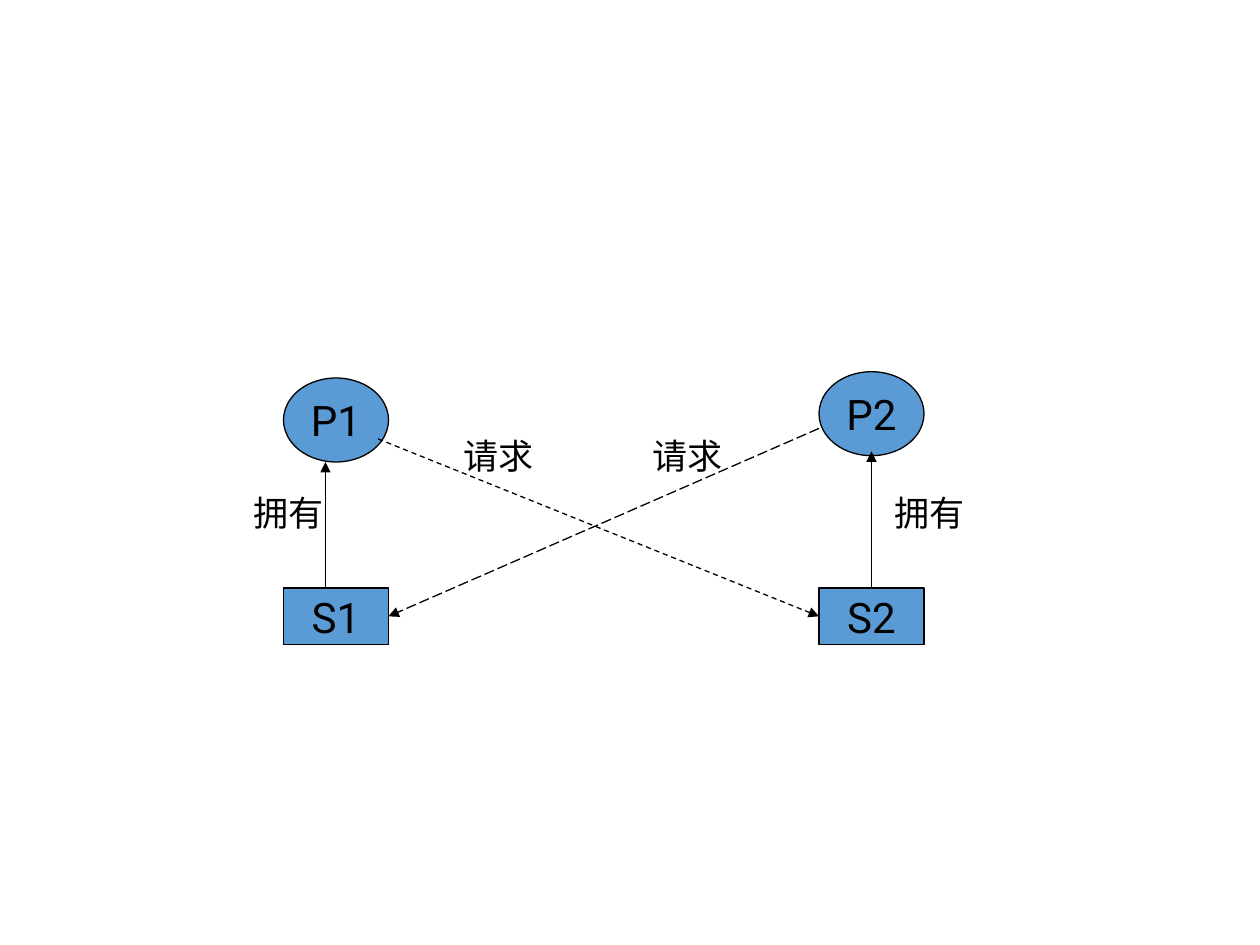
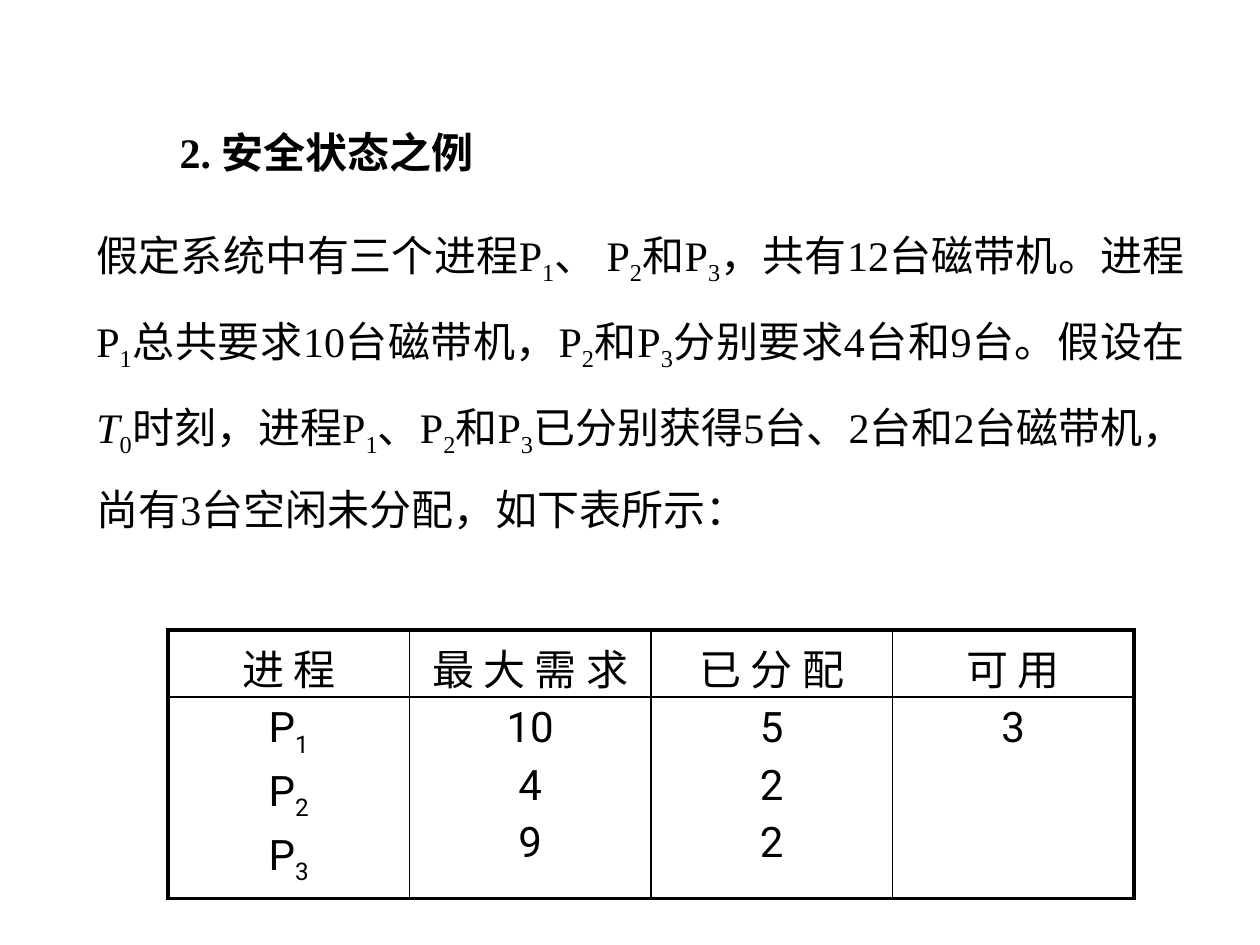
from lxml import etree
from pptx import Presentation
from pptx import util as u
from pptx.dml.color import RGBColor
from pptx.enum import dml, shapes, text
from pptx.oxml.ns import qn

BLACK = RGBColor(0x00, 0x00, 0x00)
BLUE = RGBColor(0x5B, 0x9B, 0xD5)
SANS, SERIF = "Roboto", "Times New Roman"
COLUMNS, ROWS = 120, 90  # grid laid over each slide
WIDTH, HEIGHT = u.Inches(10), u.Inches(7.5)
LABEL = dict(name=SANS, size=u.Pt(20))
NODE = dict(name=SANS, size=u.Pt(24))
BODY = dict(name=SERIF, size=u.Pt(24), bold=False)
HEADING = dict(BODY, bold=True)
PROSE = dict(alignment=text.PP_ALIGN.JUSTIFY, line_spacing=1.5)
CENTRED = dict(alignment=text.PP_ALIGN.CENTER)

STATEMENT = (
    "假定系统中有三个进程P_1、 P_2和P_3，共有12台磁带机。"
    "进程P_1总共要求10台磁带机，P_2和P_3分别要求4台和9台。"
    "假设在*T*_0时刻，进程P_1、P_2和P_3已分别获得5台、2台和2台磁带机，"
    "尚有3台空闲未分配，如下表所示：")
ALLOCATION = [
    [["进 程"], ["最 大 需 求"], ["已 分 配"], ["可 用"]],
    [["P_1", "P_2", "P_3"], ["10", "4", "9"], ["5", "2", "2"], ["3"]],
]


def place(column, row, columns=0, rows=0):
    """Turn grid columns and rows into lengths."""
    return (int(WIDTH * column / COLUMNS), int(HEIGHT * row / ROWS),
            int(WIDTH * columns / COLUMNS), int(HEIGHT * rows / ROWS))


def apply(target, values):
    for key, value in values.items():
        setattr(target, key, value)


def write(para, words, font, layout):
    """Fill a paragraph; _x is a subscript and *x* is italic."""
    apply(para, layout)

    def add_span(content, subscript=False, italic=False):
        if content:
            span = para.add_run()
            span.text = content
            apply(span.font, font)
            span.font.color.rgb = BLACK
            if italic:
                span.font.italic = True
            if subscript:
                span._r.get_or_add_rPr().set("baseline", "-25000")

    for number, part in enumerate(words.split("*")):
        first, *others = part.split("_")
        add_span(first, italic=number % 2 == 1)
        for chunk in others:
            add_span(chunk[0], subscript=True)
            add_span(chunk[1:])


def add_text(page, box, words, font, layout):
    area = page.shapes.add_textbox(*place(*box))
    area.text_frame.word_wrap = True
    write(area.text_frame.paragraphs[0], words, font, layout)


def add_node(page, kind, box, name):
    node = page.shapes.add_shape(kind, *place(*box))
    node.shadow.inherit = False
    node.fill.solid()
    node.fill.fore_color.rgb = BLUE
    node.line.color.rgb = BLACK
    node.line.width = u.Pt(0.75)
    apply(node.text_frame, dict(word_wrap=False,
                                vertical_anchor=text.MSO_ANCHOR.MIDDLE))
    write(node.text_frame.paragraphs[0], name, NODE, CENTRED)
    return node


def add_arrow(page, start, end, dash=None):
    arrow = page.shapes.add_connector(
        shapes.MSO_CONNECTOR.STRAIGHT, *place(*start)[:2], *place(*end)[:2])
    arrow.line.color.rgb = BLACK
    arrow.line.width = u.Pt(0.75)
    if dash:
        arrow.line.dash_style = dash
    etree.SubElement(arrow.line._get_or_add_ln(), qn("a:tailEnd"), type="triangle")
    etree.SubElement(arrow._element.spPr, qn("a:effectLst"))
    return arrow


def build_deadlock(page, left, top):
    """Two processes, each holding one resource and requesting the other."""
    right = left + 51
    oval, rect = shapes.MSO_SHAPE.OVAL, shapes.MSO_SHAPE.RECTANGLE

    # Processes and resources
    add_node(page, oval, (left, top + 0.6, 10, 8), "P1")
    add_node(page, oval, (right, top, 10, 8), "P2")
    s1, s2 = [add_node(page, rect, (x, top + 20.6, 10, 5.4), name)
              for x, name in ((left, "S1"), (right, "S2"))]

    # Held resources
    add_arrow(page, (left + 4, top + 20.6), (left + 4, top + 8.6))
    held = add_arrow(page, (right + 5, top + 20.6), (right + 5, top + 7.6))
    held.begin_connect(s2, 0)

    # Requests
    request = add_arrow(page, (left + 9, top + 6.4), (right, top + 23.3),
                        dml.MSO_LINE.DASH)
    request.end_connect(s2, 1)
    request = add_arrow(page, (right, top + 5.4), (left + 10, top + 23.3),
                        dml.MSO_LINE.LONG_DASH)
    request.end_connect(s1, 3)

    # Labels
    for column, row, columns, words in (
            (right + 6, 10.8, 11, "拥有"), (left - 4, 10.8, 10, "拥有"),
            (left + 34, 5.4, 13, "请求"), (left + 16, 5.4, 13, "请求")):
        add_text(page, (column, top + row, columns, 5.2), words, LABEL, {})


def set_borders(cell, **widths):
    properties = cell._tc.get_or_add_tcPr()
    for index, side in enumerate("LRTB"):
        line = etree.Element(qn(f"a:ln{side}"), w=str(u.Pt(widths[side])))
        fill = etree.SubElement(line, qn("a:solidFill"))
        etree.SubElement(fill, qn("a:srgbClr"), val=str(BLACK))
        properties.insert(index, line)


def build_allocation_table(page, box, heights):
    rows, columns = len(ALLOCATION), len(ALLOCATION[0])
    table = page.shapes.add_table(rows, columns, *place(*box)).table
    apply(table, dict(first_row=False, horz_banding=False))
    for row, height in zip(table.rows, heights):
        row.height = place(0, 0, 0, height)[3]
    for r, entries in enumerate(ALLOCATION):
        for c, lines in enumerate(entries):
            cell = table.cell(r, c)
            cell.fill.background()
            # Heavy frame, thin inner lines
            set_borders(cell, L=1 if c else 2.25, T=1 if r else 2.25,
                        R=1 if c < columns - 1 else 2.25,
                        B=1 if r < rows - 1 else 2.25)
            frame = cell.text_frame
            for number, words in enumerate(lines):
                para = frame.add_paragraph() if number else frame.paragraphs[0]
                gap = u.Pt(4.8 if number else 0)
                write(para, words, NODE, dict(CENTRED, space_before=gap))


def build_safe_state(page, left, top):
    # Heading
    title = page.shapes.title
    apply(title, dict(zip(("left", "top", "width", "height"),
                          place(left, top, 106, 9.5))))
    apply(title.text_frame, dict(vertical_anchor=text.MSO_ANCHOR.TOP,
                                 auto_size=text.MSO_AUTO_SIZE.NONE,
                                 margin_left=u.Inches(0.76)))
    write(title.text_frame.paragraphs[0], "2. 安全状态之例", HEADING, PROSE)

    # Statement and table
    add_text(page, (left, top + 9.5, 106, 30.1), STATEMENT, BODY, PROSE)
    build_allocation_table(page, (left + 8, top + 51, 92, 23.9), (6.4, 17.5))


def main():
    deck = Presentation()
    deck.slide_width, deck.slide_height = WIDTH, HEIGHT
    title_only, blank = deck.slide_layouts[5], deck.slide_layouts[6]
    build_deadlock(deck.slides.add_slide(blank), 27, 35.4)
    build_safe_state(deck.slides.add_slide(title_only), 8, 9)
    deck.save("out.pptx")


if __name__ == "__main__":
    main()
